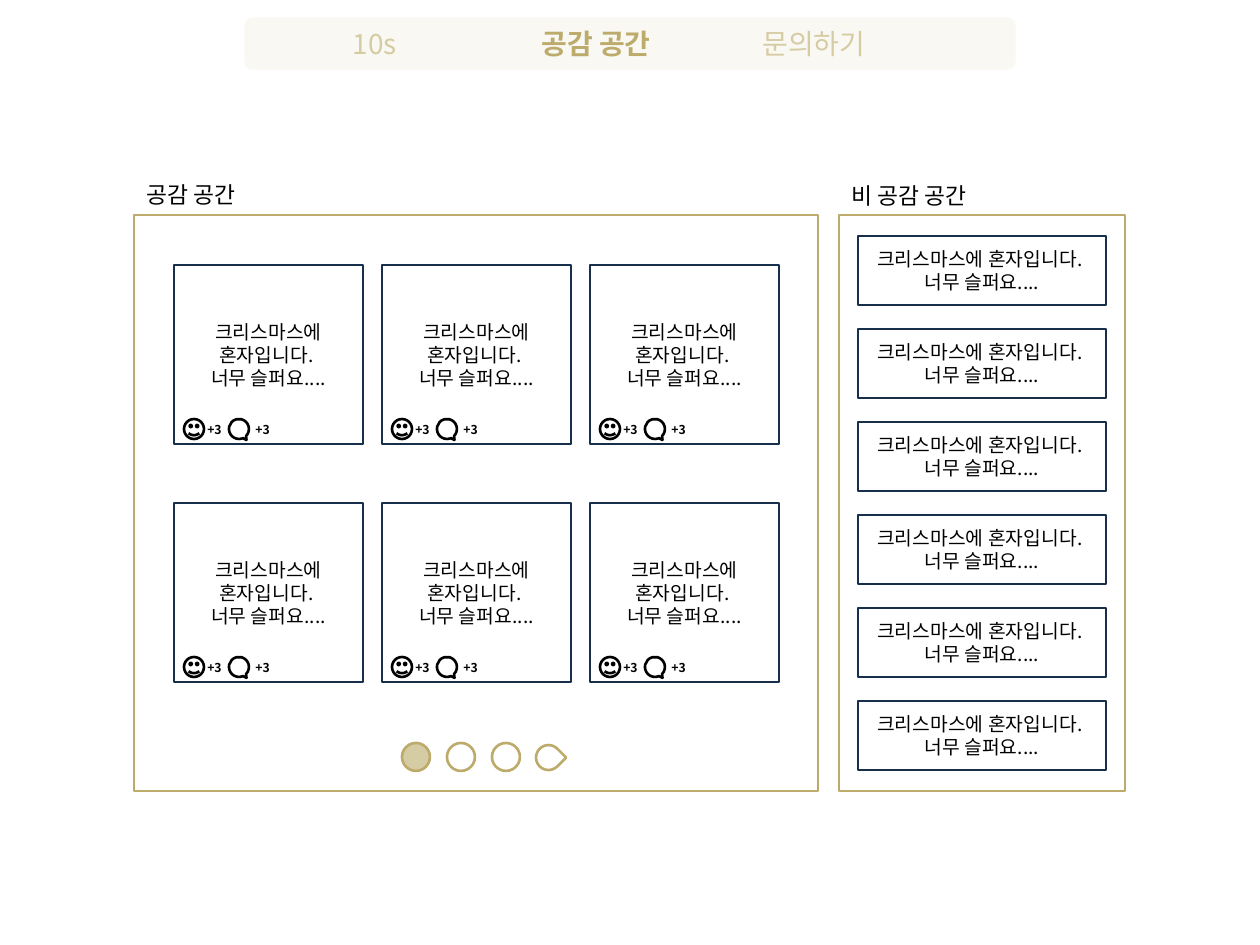
from dataclasses import dataclass
from itertools import product

from pptx import Presentation
from pptx.dml.color import RGBColor
from pptx.enum.shapes import MSO_SHAPE as Preset
from pptx.enum.text import MSO_ANCHOR as Anchor, MSO_AUTO_SIZE as AutoSize, PP_ALIGN as Align
from pptx.oxml.ns import qn
from pptx.util import Pt

EMU_PER_PX = 914400 / 126
TITLE_ONLY = 5


@dataclass(frozen=True)
class Theme:
    font: str = "Noto Sans CJK KR"
    gold: str = "BCAB6A"
    sand: str = "D6CCA4"
    cream: str = "F9F8F3"
    navy: str = "182F4B"
    black: str = "000000"
    white: str = "FFFFFF"
    tab_size: int = 16
    label_size: int = 13
    message_size: int = 11
    count_size: int = 7
    line_width: float = 1.5


THEME = Theme()
MESSAGE = ["크리스마스에 혼자입니다. ", "너무 슬퍼요...."]


def px(*lengths):
    return [round(length * EMU_PER_PX) for length in lengths]


def add_outline(shapes, preset, box, line, fill=None, adjust=()):
    shape = shapes.add_shape(preset, *px(*box))
    shape.shadow.inherit = False
    if fill:
        shape.fill.solid()
        shape.fill.fore_color.rgb = RGBColor.from_string(fill)
    else:
        shape.fill.background()
    shape.line.color.rgb = RGBColor.from_string(line)
    shape.line.width = Pt(THEME.line_width)
    for index, value in enumerate(adjust):
        shape.adjustments[index] = value
    return shape


def mirror(shape, rotation):
    shape.rotation = rotation
    shape.element.spPr.find(qn("a:xfrm")).set("flipH", "1")


def format_text(frame, lines, size, color, align=Align.LEFT, bold=False, wrap=True):
    frame.text = "\n".join(lines)
    frame.word_wrap = wrap
    frame.auto_size = AutoSize.SHAPE_TO_FIT_TEXT
    frame.vertical_anchor = Anchor.TOP
    for paragraph in frame.paragraphs:
        paragraph.alignment = align
        for run in paragraph.runs:
            run.font.name = THEME.font
            run.font.size = Pt(size)
            run.font.bold = bold
            run.font.color.rgb = RGBColor.from_string(color)
            # Korean glyphs take the East Asian typeface
            east_asian = run.font._element.makeelement(qn("a:ea"), {"typeface": THEME.font})
            run.font._element.find(qn("a:latin")).addnext(east_asian)


def add_text(shapes, box, lines, size, color, **style):
    format_text(shapes.add_textbox(*px(*box)).text_frame, lines, size, color, **style)


def add_message(shapes, box):
    add_text(shapes, box, MESSAGE, THEME.message_size, THEME.black, align=Align.CENTER)


def add_panel(shapes, label, label_box, box):
    add_outline(shapes, Preset.RECTANGLE, box, THEME.gold)
    add_text(shapes, label_box, [label], THEME.label_size, THEME.black)


def add_reaction_card(slide, x, y):
    card = slide.shapes.add_group_shape().shapes
    add_outline(card, Preset.RECTANGLE, (x, y, 189, 179), THEME.navy, THEME.white)
    add_message(card, (x, y + 49, 189, 82))
    comment = add_outline(card, Preset.OVAL_CALLOUT, (x + 55, y + 154, 20, 20),
                          THEME.black, THEME.white, (-0.21, 0.63))
    mirror(comment, 343.9)
    add_outline(card, Preset.SMILEY_FACE, (x + 10, y + 154, 20, 20),
                THEME.black, THEME.white, (0.05,))
    for count_x in (x + 21, x + 69):
        add_text(card, (count_x, y + 151, 40, 27), ["+3"], THEME.count_size,
                 THEME.black, bold=True, wrap=False)


def add_plain_card(slide, x, y):
    card = slide.shapes.add_group_shape().shapes
    add_outline(card, Preset.RECTANGLE, (x, y, 248, 69), THEME.navy, THEME.white)
    add_message(card, (x, y + 5, 248, 58))


def add_pager(shapes):
    for page in range(3):
        add_outline(shapes, Preset.OVAL, (402 + 45 * page, 743, 28, 28), THEME.gold,
                    THEME.white if page else THEME.sand)
    next_page = add_outline(shapes, Preset.TEAR, (536, 745, 25, 25), THEME.gold)
    mirror(next_page, 135)


def add_navigation(slide):
    add_outline(slide.shapes, Preset.ROUNDED_RECTANGLE, (243, 16, 774, 55),
                THEME.white, THEME.cream)
    for label, x in (("10s", 299), ("문의하기", 738)):
        add_text(slide.shapes, (x, 20, 152, 47), [label], THEME.tab_size, THEME.sand,
                 align=Align.CENTER)
    # The active tab is the slide title, raised above the bar
    title = slide.shapes.title
    title.left, title.top, title.width, title.height = px(520, 20, 152, 47)
    format_text(title.text_frame, ["공감 공간"], THEME.tab_size, THEME.gold,
                align=Align.CENTER, bold=True)
    title.element.getparent().append(title.element)


def main():
    deck = Presentation()
    deck.slide_width, deck.slide_height = px(1260, 945)
    slide = deck.slides.add_slide(deck.slide_layouts[TITLE_ONLY])

    # Empathy space: two rows of three cards and a pager
    add_panel(slide.shapes, "공감 공간", (134, 175, 123, 40), (134, 215, 684, 576))
    for row, column in product(range(2), range(3)):
        add_reaction_card(slide, 174 + 208 * column, 265 + 238 * row)
    add_pager(slide.shapes)

    # Non-empathy space: one column of six cards
    add_panel(slide.shapes, "비 공감 공간", (839, 176, 178, 39), (839, 215, 286, 576))
    for row in range(6):
        add_plain_card(slide, 858, 236 + 93 * row)

    add_navigation(slide)
    deck.save("out.pptx")


if __name__ == "__main__":
    main()
